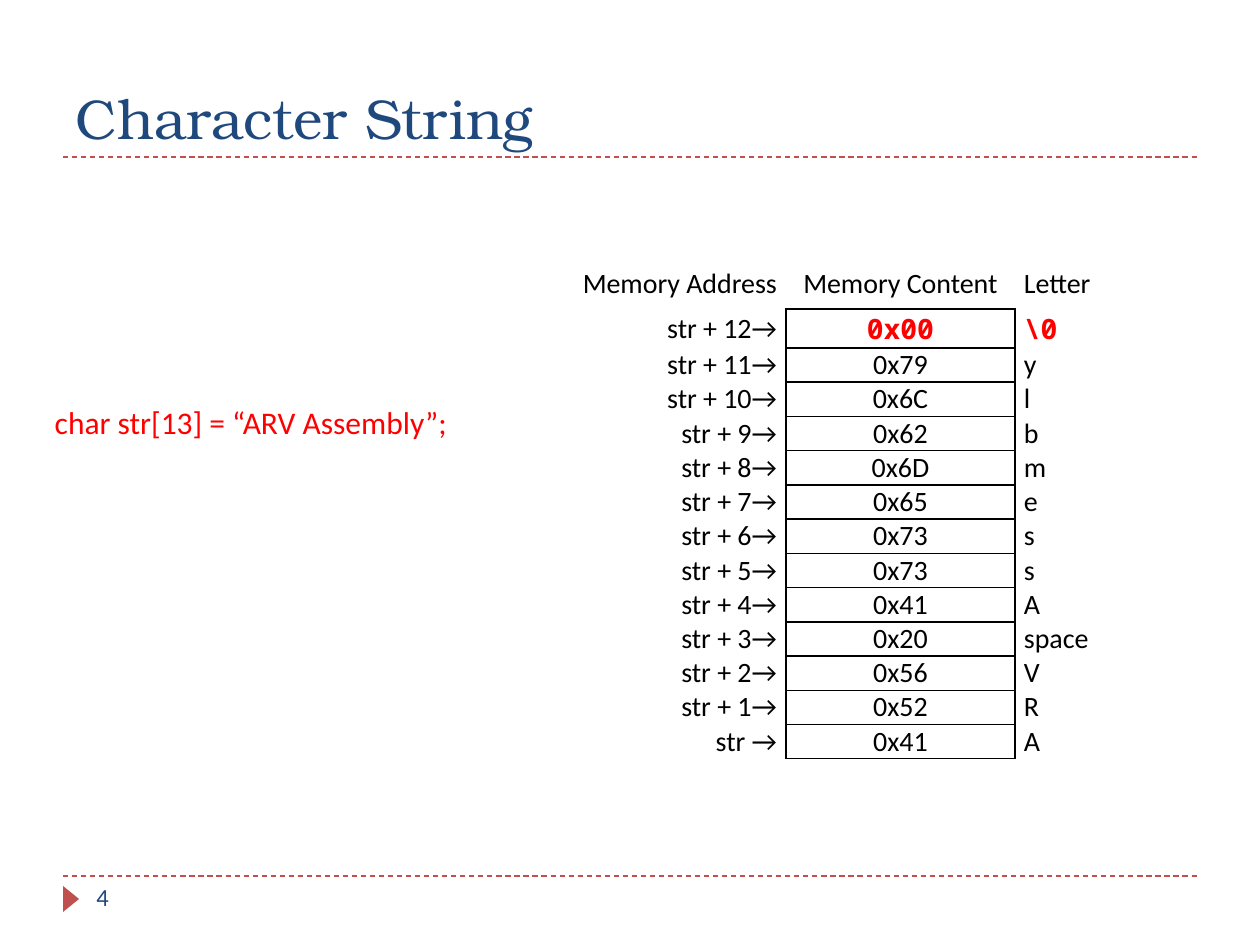
import pptx
import pptx.dml.color
import pptx.enum.dml
import pptx.enum.shapes
import pptx.enum.text
import pptx.oxml
import pptx.oxml.ns
import pptx.util

RGBColor = pptx.dml.color.RGBColor
ALIGN = pptx.enum.text.PP_ALIGN
ANCHOR = pptx.enum.text.MSO_ANCHOR
SHAPE = pptx.enum.shapes.MSO_SHAPE

NAVY = RGBColor(0x1F, 0x49, 0x7D)
BRICK = RGBColor(0xC0, 0x50, 0x4D)
RED = RGBColor(0xFF, 0x00, 0x00)
BLACK = RGBColor(0x00, 0x00, 0x00)

TITLE = "Character String"
DECLARATION = "char str[13] = “ARV Assembly”;"
SLIDE_NUMBER = "4"
HEADINGS = ("Memory Address", "Memory Content", "Letter")
# From the highest address down to the start of the string
MEMORY = [
    ("0x00", "\\0"), ("0x79", "y"), ("0x6C", "l"), ("0x62", "b"),
    ("0x6D", "m"), ("0x65", "e"), ("0x73", "s"), ("0x73", "s"),
    ("0x41", "A"), ("0x20", "space"), ("0x56", "V"), ("0x52", "R"),
    ("0x41", "A"),
]

EMU_PER_PX = 914400 / 126
SLIDE_SIZE = (1260, 945)
RULE_X = (63, 1197)
RULE_YS = (157, 876)
TABLE_AT = (524, 258)
TABLE_HEIGHT = 501
COLUMN_WIDTHS = (262, 229, 119)
COLUMN_ALIGNMENTS = (ALIGN.RIGHT, ALIGN.CENTER, ALIGN.LEFT)
HEADER_HEIGHT, NULL_HEIGHT = 51, 39
CELL_INSET = 9
NO_STYLE_NO_GRID = "{2D5ABB26-0587-4C30-8999-92F81FD0307C}"

TITLE_FONT = dict(name="TeX Gyre Bonum", size=pptx.util.Pt(32), bold=False)
NUMBER_FONT = dict(name="Calibri", size=pptx.util.Pt(14))
CODE_FONT = dict(name="Calibri", size=pptx.util.Pt(18))
CELL_FONT = dict(name="Calibri", size=pptx.util.Pt(16), bold=False)
NULL_FONT = dict(name="Noto Sans Mono", size=pptx.util.Pt(16), bold=True)


def px(length):
    return pptx.util.Emu(round(length * EMU_PER_PX))


def set_attributes(target, values):
    for name, value in values.items():
        setattr(target, name, value)


def write(text_frame, text, font, color, alignment=ALIGN.LEFT):
    text_frame.text = text
    paragraph = text_frame.paragraphs[0]
    paragraph.alignment = alignment
    set_attributes(paragraph.runs[0].font, font)
    paragraph.runs[0].font.color.rgb = color


def add_text(slide, box, text, font, color, alignment, wrap):
    shape = slide.shapes.add_textbox(*map(px, box))
    shape.text_frame.word_wrap = wrap
    write(shape.text_frame, text, font, color, alignment)


def add_rule(slide, y):
    rule = slide.shapes.add_connector(
        pptx.enum.shapes.MSO_CONNECTOR.STRAIGHT,
        px(RULE_X[0]), px(y), px(RULE_X[1]), px(y))
    rule.line.color.rgb = BRICK
    rule.line.width = pptx.util.Pt(0.75)
    rule.line.dash_style = pptx.enum.dml.MSO_LINE.DASH
    properties = rule._element.spPr
    properties.append(properties.makeelement(pptx.oxml.ns.qn("a:effectLst"), {}))


def add_borders(cell, sides):
    """Draw 1 pt black borders on the sides given, in the order L, R, T, B."""
    properties = cell._tc.get_or_add_tcPr()
    for side in sides:
        properties.append(pptx.oxml.parse_xml(
            f'<a:ln{side} {pptx.oxml.ns.nsdecls("a")} w="12700">'
            f'<a:solidFill><a:srgbClr val="{BLACK}"/></a:solidFill></a:ln{side}>'))


def add_memory_table(slide):
    last = len(MEMORY) - 1
    addresses = [f"str + {offset}→" for offset in range(last, 0, -1)] + ["str →"]
    rows = [HEADINGS] + [(address, *entry)
                         for address, entry in zip(addresses, MEMORY)]
    row_height = (TABLE_HEIGHT - HEADER_HEIGHT - NULL_HEIGHT) / last
    heights = [HEADER_HEIGHT, NULL_HEIGHT] + [row_height] * last
    frame = slide.shapes.add_table(
        len(rows), len(HEADINGS), *map(px, TABLE_AT),
        px(sum(COLUMN_WIDTHS)), px(TABLE_HEIGHT))
    table = frame.table
    set_attributes(table, dict(first_row=False, horz_banding=False))
    table._tbl.tblPr.find(pptx.oxml.ns.qn("a:tableStyleId")).text = NO_STYLE_NO_GRID
    for column, width in zip(table.columns, COLUMN_WIDTHS):
        column.width = px(width)
    for row, height in zip(table.rows, heights):
        row.height = px(height)

    cell_format = dict(
        margin_left=px(CELL_INSET), margin_right=px(CELL_INSET),
        margin_top=0, margin_bottom=0, vertical_anchor=ANCHOR.MIDDLE)
    for row_index, texts in enumerate(rows):
        borders = ("", "B", "") if row_index == 0 else ("R", "LRTB", "L")
        for column_index, text in enumerate(texts):
            cell = table.cell(row_index, column_index)
            set_attributes(cell, cell_format)
            add_borders(cell, borders[column_index])
            cell.fill.background()
            is_null = row_index == 1 and column_index > 0
            font, color = (NULL_FONT, RED) if is_null else (CELL_FONT, BLACK)
            write(cell.text_frame, text, font, color,
                  COLUMN_ALIGNMENTS[column_index])


def main():
    presentation = pptx.Presentation()
    presentation.slide_width, presentation.slide_height = map(px, SLIDE_SIZE)
    slide = presentation.slides.add_slide(presentation.slide_layouts[5])

    for y in RULE_YS:
        add_rule(slide, y)

    marker = slide.shapes.add_shape(
        SHAPE.ISOSCELES_TRIANGLE, *map(px, (58, 891, 26, 16)))
    marker.rotation = 90
    marker.shadow.inherit = False
    marker.fill.solid()
    marker.fill.fore_color.rgb = BRICK
    marker.line.fill.background()

    title = slide.shapes.title
    title_box = dict(left=63, top=21, width=1134, height=136)
    set_attributes(title, {side: px(value) for side, value in title_box.items()})
    title.text_frame.vertical_anchor = ANCHOR.BOTTOM
    write(title.text_frame, TITLE, TITLE_FONT, NAVY)

    add_text(slide, (84, 876, 273, 50), SLIDE_NUMBER, NUMBER_FONT, NAVY,
             ALIGN.LEFT, True)
    add_memory_table(slide)
    add_text(slide, (32, 397, 438, 50), DECLARATION, CODE_FONT, RED,
             ALIGN.CENTER, False)
    presentation.save("out.pptx")


if __name__ == "__main__":
    main()
